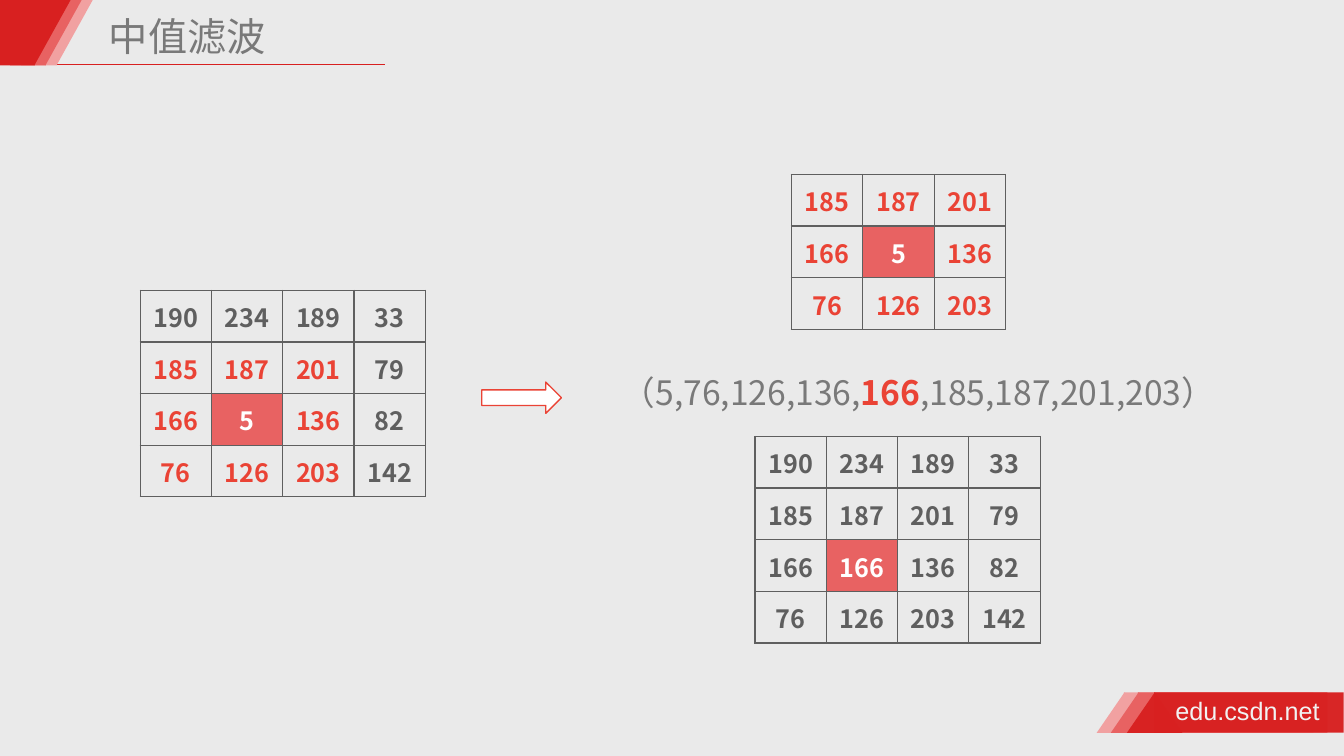
import dataclasses

import pptx
import pptx.dml.color
import pptx.enum.shapes
import pptx.enum.text
import pptx.oxml
import pptx.oxml.ns
import pptx.util

SHAPE = pptx.enum.shapes.MSO_SHAPE
ANCHOR = pptx.enum.text.MSO_ANCHOR
ALIGN = pptx.enum.text.PP_ALIGN
FIT = pptx.enum.text.MSO_AUTO_SIZE
Pt = pptx.util.Pt

WIDTH, HEIGHT = pptx.util.Inches(13.33), pptx.util.Inches(7.5)
COLUMNS, ROWS = 40, 22.5
RED_ALPHA = 97


@dataclasses.dataclass(frozen=True)
class Theme:
    background: str = "EAEAEA"
    red: str = "D82020"
    coral: str = "E86262"
    pink: str = "F1A1A1"
    accent: str = "EA4335"
    grid: str = "5F5F5F"
    text: str = "797979"
    white: str = "FFFFFF"
    pale: str = "F2F2F2"
    sans: str = "Noto Sans CJK SC"
    latin: str = "Arial"
    title_size: int = 28
    sequence_size: int = 24
    body_size: int = 18


THEME = Theme()
PIXELS = [
    [190, 234, 189, 33],
    [185, 187, 201, 79],
    [166, 5, 136, 82],
    [76, 126, 203, 142],
]
CENTRE = (2, 1)


def rgb(code):
    return pptx.dml.color.RGBColor.from_string(code)


def col(n):
    return round(WIDTH * n / COLUMNS)


def row(n):
    return round(HEIGHT * n / ROWS)


def place(box):
    """Turn (left, top, width, height) in grid columns and rows into lengths."""
    left, top, width, height = box
    return col(left), row(top), col(width), row(height)


def assign(obj, values):
    for name, value in values.items():
        setattr(obj, name, value)


def add_run(p, text, size, color, bold=False, font=THEME.sans):
    r = p.add_run()
    r.text = text
    assign(r.font, {"size": Pt(size), "bold": bold, "name": font})
    r.font.color.rgb = rgb(color)
    ea = pptx.oxml.parse_xml(f'<a:ea {pptx.oxml.ns.nsdecls("a")} typeface="{font}"/>')
    r.font._element.append(ea)


def format_frame(tf, wrap):
    inset = pptx.util.Inches(0.05)
    assign(tf, {"word_wrap": wrap, "auto_size": FIT.SHAPE_TO_FIT_TEXT,
                "vertical_anchor": ANCHOR.TOP,
                "margin_left": inset, "margin_right": inset,
                "margin_top": inset, "margin_bottom": inset})


def add_shape(s, kind, box, fill, line=None):
    sp = s.shapes.add_shape(kind, *place(box))
    sp.shadow.inherit = False
    sp.fill.solid()
    sp.fill.fore_color.rgb = rgb(fill)
    if line:
        sp.line.color.rgb = rgb(line)
        sp.line.width = Pt(1)
    else:
        sp.line.fill.background()
    return sp


def add_text_line(s, box):
    sp = s.shapes.add_textbox(*place(box))
    format_frame(sp.text_frame, wrap=False)
    return sp.text_frame.paragraphs[0]


def add_header(s, box, title):
    left, top, width, height = box
    line = s.shapes.add_connector(
        pptx.enum.shapes.MSO_CONNECTOR.STRAIGHT,
        col(left + 1.5), row(top + height - 0.03),
        col(left + width), row(top + height - 0.03))
    line.line.color.rgb = rgb(THEME.red)
    line.line.width = Pt(1)
    line._element.spPr.append(
        pptx.oxml.parse_xml(f'<a:effectLst {pptx.oxml.ns.nsdecls("a")}/>'))

    for i, color in enumerate((THEME.pink, THEME.coral, THEME.red)):
        x = left + 0.63 - 0.33 * i
        add_shape(s, SHAPE.RECTANGLE, (x, top, 1.05, height), color)
        point = add_shape(s, SHAPE.ISOSCELES_TRIANGLE,
                          (x - 0.03, top, 2.16, height), color)
        point.rotation = 180

    sp = s.shapes.title
    sp.left, sp.top, sp.width, sp.height = place(
        (left + 3.09, top + 0.36, 13.08, height - 0.36))
    format_frame(sp.text_frame, wrap=True)
    p = sp.text_frame.paragraphs[0]
    assign(p, {"alignment": ALIGN.LEFT, "line_spacing": 0.9})
    add_run(p, title, THEME.title_size, THEME.text)


def add_footer(s, box, address):
    left, top, width, height = box
    bands = ((THEME.pink, 0), (THEME.coral, 0.42), (THEME.red, 0.9))
    for color, shift in bands:
        x = left + shift
        parts = (
            add_shape(s, SHAPE.RECTANGLE, (x + 0.81, top, 5.64, height), color),
            add_shape(s, SHAPE.ISOSCELES_TRIANGLE, (x, top, 1.65, height), color),
        )
        if color == THEME.red:
            for sp in parts:
                clr = sp._element.spPr.find(".//" + pptx.oxml.ns.qn("a:srgbClr"))
                clr.append(pptx.oxml.parse_xml(
                    f'<a:alpha {pptx.oxml.ns.nsdecls("a")} val="{RED_ALPHA * 1000}"/>'))
    p = add_text_line(s, (left + 2.19, top - 0.06, width - 2.71, height))
    add_run(p, address, THEME.body_size, THEME.pale, font=THEME.latin)


def add_borders(cell):
    tc_pr = cell._tc.get_or_add_tcPr()
    for side in "LRTB":
        tc_pr.append(pptx.oxml.parse_xml(
            f'<a:ln{side} {pptx.oxml.ns.nsdecls("a")} w="{Pt(1)}"><a:solidFill>'
            f'<a:srgbClr val="{THEME.grid}"/></a:solidFill></a:ln{side}>'))


def add_pixel_table(s, box, pixels, centre, window=()):
    """Draw a pixel grid with a filled centre; cells in window are red."""
    table = s.shapes.add_table(len(pixels), len(pixels[0]), *place(box)).table
    assign(table, {"first_row": False, "horz_banding": False})
    margin = pptx.util.Inches(0.01)
    for i, values in enumerate(pixels):
        table.rows[i].height = row(box[3] / len(pixels))
        for j, value in enumerate(values):
            table.columns[j].width = col(box[2] / len(values))
            cell = table.cell(i, j)
            assign(cell, {"margin_left": margin, "margin_right": margin,
                          "margin_top": margin, "margin_bottom": 0,
                          "vertical_anchor": ANCHOR.MIDDLE})
            add_borders(cell)
            color = THEME.accent if (i, j) in window else THEME.grid
            if (i, j) == centre:
                color = THEME.white
                cell.fill.solid()
                cell.fill.fore_color.rgb = rgb(THEME.coral)
            else:
                cell.fill.background()
            p = cell.text_frame.paragraphs[0]
            p.alignment = ALIGN.CENTER
            add_run(p, str(value), THEME.body_size, color, bold=True)


def add_sequence(s, box, ranked):
    mid = len(ranked) // 2
    before, after = (",".join(map(str, part))
                     for part in (ranked[:mid], ranked[mid + 1:]))
    p = add_text_line(s, box)
    p.line_spacing = 1.5
    add_run(p, f"（{before},", THEME.sequence_size, THEME.text)
    add_run(p, str(ranked[mid]), THEME.sequence_size, THEME.accent, bold=True)
    add_run(p, f",{after}）", THEME.sequence_size, THEME.text)


def add_median_slide(prs):
    s = prs.slides.add_slide(prs.slide_layouts[5])
    s.background.fill.solid()
    s.background.fill.fore_color.rgb = rgb(THEME.background)
    add_header(s, (0, 0, 11.46, 1.95), "中值滤波")
    add_footer(s, (32.64, 20.61, 7.36, 1.2), "edu.csdn.net")

    ci, cj = CENTRE
    window = [(i, j) for i in range(ci - 1, ci + 2) for j in range(cj - 1, cj + 2)]
    patch = [values[cj - 1:cj + 2] for values in PIXELS[ci - 1:ci + 2]]
    ranked = sorted(PIXELS[i][j] for i, j in window)
    filtered = [list(values) for values in PIXELS]
    filtered[ci][cj] = ranked[len(ranked) // 2]

    add_pixel_table(s, (4.17, 8.64, 8.49, 6.15), PIXELS, CENTRE, window)
    add_shape(s, SHAPE.RIGHT_ARROW, (14.34, 11.37, 2.37, 0.93),
              THEME.white, THEME.accent)
    add_pixel_table(s, (23.55, 5.19, 6.39, 4.62), patch, (1, 1),
                    [(i, j) for i in range(3) for j in range(3)])
    add_sequence(s, (18.36, 10.32, 18.51, 2.13), ranked)
    add_pixel_table(s, (22.47, 12.99, 8.49, 6.15), filtered, CENTRE)


def main():
    prs = pptx.Presentation()
    assign(prs, {"slide_width": WIDTH, "slide_height": HEIGHT})
    add_median_slide(prs)
    prs.save("out.pptx")


if __name__ == "__main__":
    main()
